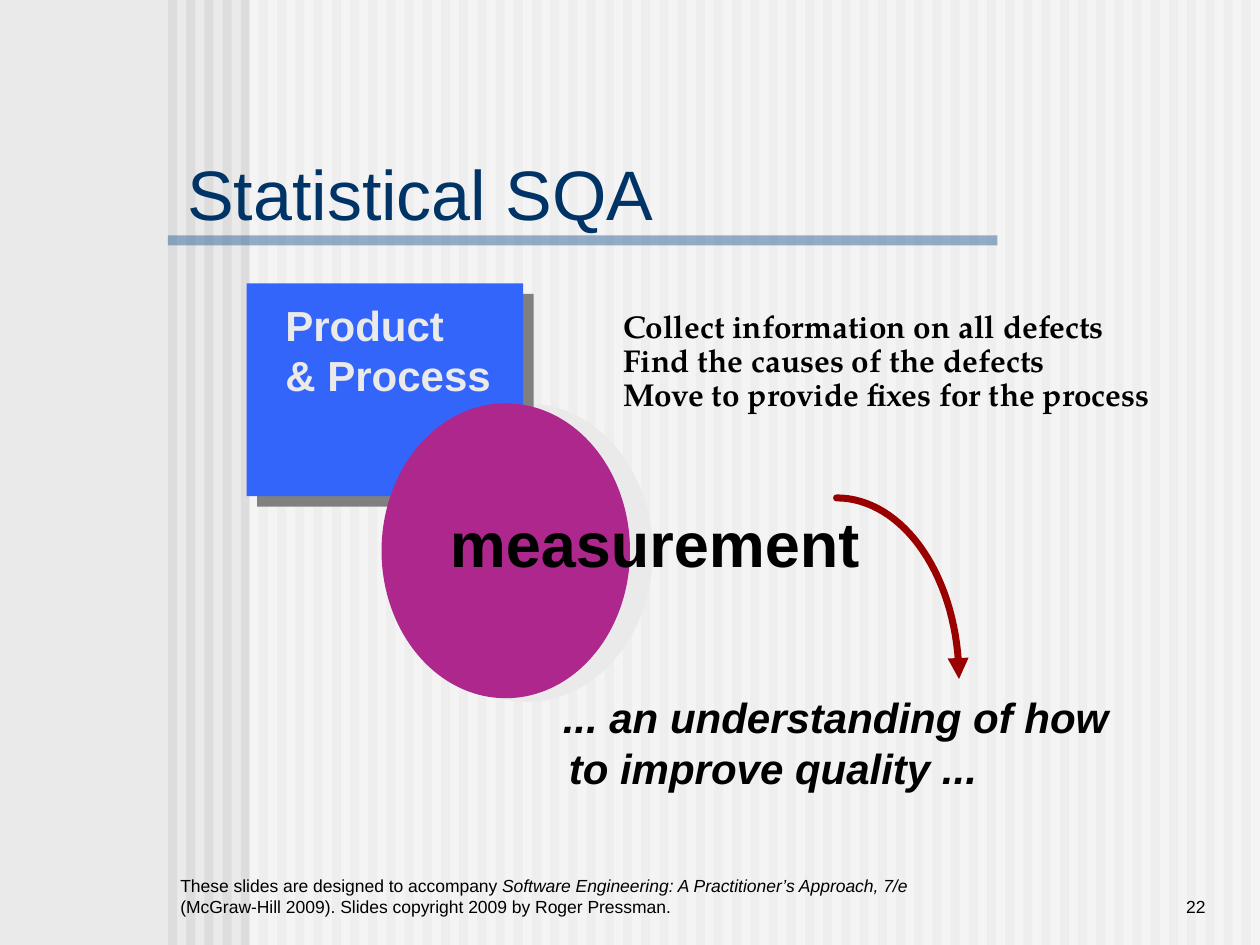
import math

import pptx
import pptx.dml.color
import pptx.enum.shapes
import pptx.enum.text
import pptx.oxml
import pptx.oxml.ns
import pptx.util

Pt = pptx.util.Pt
Shape = pptx.enum.shapes.MSO_SHAPE
Align = pptx.enum.text.PP_ALIGN
Anchor = pptx.enum.text.MSO_ANCHOR
AutoSize = pptx.enum.text.MSO_AUTO_SIZE

WIDTH, HEIGHT = 720, 540
STRIPE_COUNT, STRIPE_PITCH, STRIPE_WIDTH = 60, 10.4, 5.2
STRIPE_LEFT = 96


def color(value):
    return pptx.dml.color.RGBColor.from_string(value)


def xml(text):
    return pptx.oxml.parse_xml(text.replace(" ", f" {pptx.oxml.ns.nsdecls('a')} ", 1))


class SlideBuilder:
    font = "Arial"
    text_color = "000000"

    def __init__(self, slide):
        self.slide = slide

    def background(self, fill):
        self.slide.background.fill.solid()
        self.slide.background.fill.fore_color.rgb = color(fill)

    def block(self, kind, left, top, width, height, fill, opacity=100, parent=None):
        """Add a borderless preset shape to the slide or to a group."""
        shapes = (parent or self.slide).shapes
        shape = shapes.add_shape(kind, Pt(left), Pt(top), Pt(width), Pt(height))
        shape.shadow.inherit = False
        shape.line.fill.background()
        shape.fill.solid()
        shape.fill.fore_color.rgb = color(fill)
        if opacity < 100:
            rgb = shape._element.spPr.find(".//" + pptx.oxml.ns.qn("a:srgbClr"))
            rgb.append(xml(f'<a:alpha val="{opacity * 1000}"/>'))
        return shape

    def drop_shadow(self, shape, fill, distance):
        effects = shape._element.spPr.find(pptx.oxml.ns.qn("a:effectLst"))
        effects.append(xml(
            f'<a:outerShdw dist="{Pt(distance)}" dir="2700000" algn="ctr" rotWithShape="0">'
            f'<a:srgbClr val="{fill}"/></a:outerShdw>'))

    def stripes(self):
        group = self.slide.shapes.add_group_shape()
        for index in range(STRIPE_COUNT):
            self.block(Shape.RECTANGLE, STRIPE_LEFT + index * STRIPE_PITCH, 0,
                       STRIPE_WIDTH, HEIGHT, "DDDDDD", parent=group)

    def format_text(self, frame, size, fill, font=None, bold=False, italic=False,
                    align=Align.LEFT, spacing=None):
        for paragraph in frame.paragraphs:
            paragraph.alignment = align
            if spacing:
                paragraph.line_spacing = spacing
            for run in paragraph.runs:
                run.font.name = font or self.font
                run.font.size = Pt(size)
                run.font.bold = bold
                run.font.italic = italic
                run.font.color.rgb = color(fill)

    def title(self, text, left, top, width, height, size, fill):
        title = self.slide.shapes.title
        title.left, title.top, title.width, title.height = map(Pt, (left, top, width, height))
        frame = title.text_frame
        frame.text = text
        frame.margin_left = frame.margin_right = Pt(5)
        frame.margin_top = frame.margin_bottom = Pt(2.5)
        frame.vertical_anchor = Anchor.TOP
        frame.word_wrap = False
        frame.auto_size = AutoSize.SHAPE_TO_FIT_TEXT
        self.format_text(frame, size, fill)
        # The title belongs in front of the background stripes.
        self.slide.shapes._spTree.append(title._element)

    def label(self, text, left, top, width, height, size, fill=None, **style):
        """Add unwrapped text, one paragraph for each line."""
        box = self.slide.shapes.add_textbox(Pt(left), Pt(top), Pt(width), Pt(height))
        frame = box.text_frame
        frame.text = text
        frame.word_wrap = False
        frame.auto_size = AutoSize.SHAPE_TO_FIT_TEXT
        self.format_text(frame, size, fill or self.text_color, **style)
        return frame

    def footer(self, text, left, width, align=Align.LEFT):
        frame = self.label(text, left, 491.5, width, 36, 10, align=align)
        frame.auto_size = AutoSize.NONE
        frame.word_wrap = True
        frame.vertical_anchor = Anchor.BOTTOM
        return frame

    def curved_arrow(self, left, top, width, height, fill, weight, steps=32):
        """Draw the upper right quarter of an ellipse, with an arrowhead at its foot."""
        angles = [math.pi / 2 * step / steps for step in range(steps + 1)]
        points = [(Pt(left + width * math.sin(angle)),
                   Pt(top + height * (1 - math.cos(angle)))) for angle in angles]
        builder = self.slide.shapes.build_freeform(*points[0])
        builder.add_line_segments(points[1:], close=False)
        arrow = builder.convert_to_shape()
        arrow.shadow.inherit = False
        arrow.fill.background()
        arrow.line.color.rgb = color(fill)
        arrow.line.width = Pt(weight)
        line = arrow.line._get_or_add_ln()
        line.set("cap", "rnd")
        line.append(xml("<a:round />"))
        line.append(xml('<a:tailEnd type="triangle"/>'))


def main():
    presentation = pptx.Presentation()
    presentation.slide_width, presentation.slide_height = Pt(WIDTH), Pt(HEIGHT)
    slide = presentation.slides.add_slide(presentation.slide_layouts[5])
    builder = SlideBuilder(slide)

    builder.background("EAEAEA")
    builder.stripes()
    builder.block(Shape.RECTANGLE, 142.5, 0, 577.5, HEIGHT, "FFFFFF", opacity=50)
    builder.block(Shape.RECTANGLE, 96, 134.5, 474, 5.75, "336699", opacity=50)

    credit = builder.footer("These slides are designed to accompany ", 96, 432)
    book, rights = (credit.paragraphs[0].add_run() for _ in range(2))
    book.text = "Software Engineering: A Practitioner’s Approach, 7/e "
    rights.text = "(McGraw-Hill 2009). Slides copyright 2009 by Roger Pressman."
    builder.format_text(credit, 10, builder.text_color)
    book.font.italic = True
    builder.footer("22", 594, 102, align=Align.RIGHT)

    builder.title("Statistical SQA", 102, 83.5, 276.5, 52, 40, "003366")

    builder.block(Shape.OVAL, 229, 230.5, 144, 170.5, "EAEAEA")
    product = builder.block(Shape.RECTANGLE, 141, 162, 158, 121.5, "3365FB")
    builder.drop_shadow(product, "808080", 8.5)
    builder.label("Product\n& Process", 156, 167.5, 132, 65, 24, "EAEAEA", bold=True)
    builder.block(Shape.OVAL, 218, 230.5, 142, 168.5, "AD278D")
    builder.label("measurement", 250, 285, 249, 50.5, 36, bold=True)

    builder.label("... an understanding of how", 314.5, 391.5, 334, 36, 24,
                  bold=True, italic=True)
    builder.label("to improve quality ...", 318, 421, 249, 36, 24, bold=True, italic=True)
    builder.curved_arrow(478, 284.5, 70, 103.5, "9A0000", 4)
    builder.label("Collect information on all defects\n"
                  "Find the causes of the defects\n"
                  "Move to provide fixes for the process",
                  349, 174.5, 316.5, 65.5, 18, font="TeX Gyre Pagella", bold=True, spacing=0.9)

    presentation.save("out.pptx")


if __name__ == "__main__":
    main()
